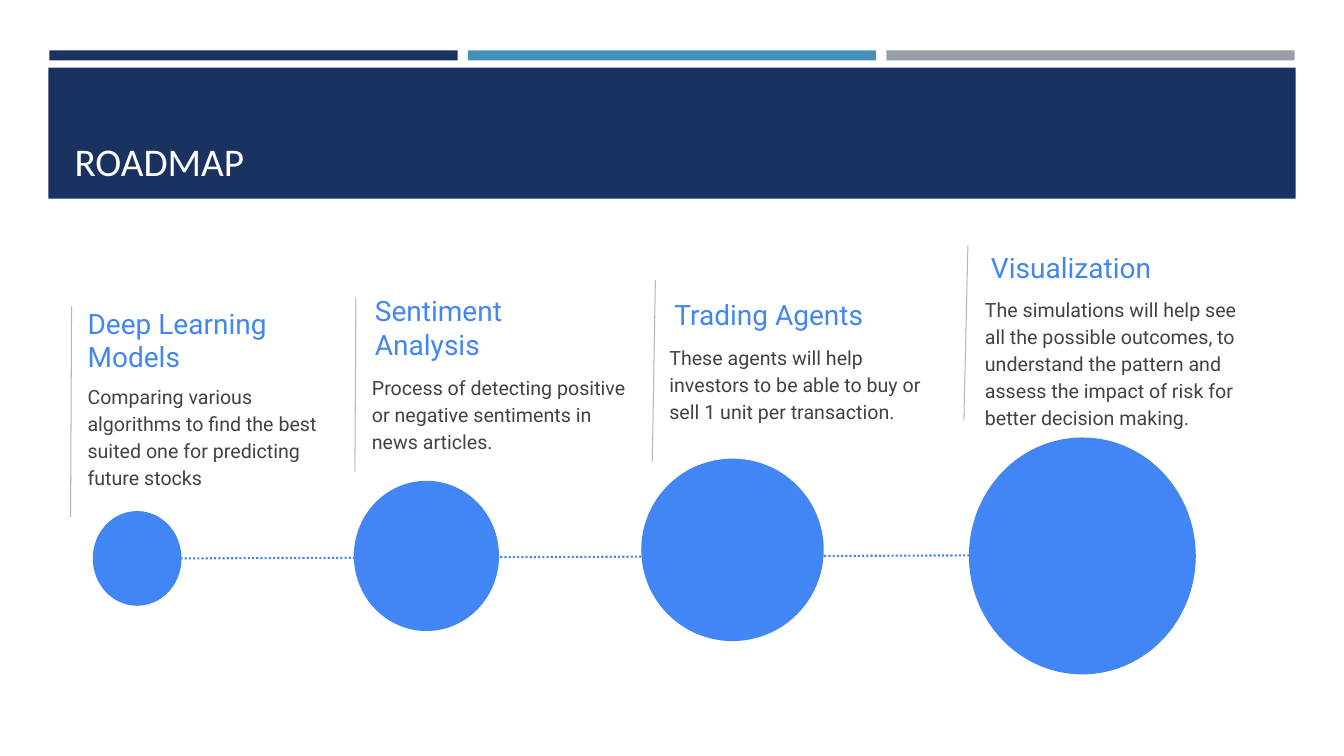
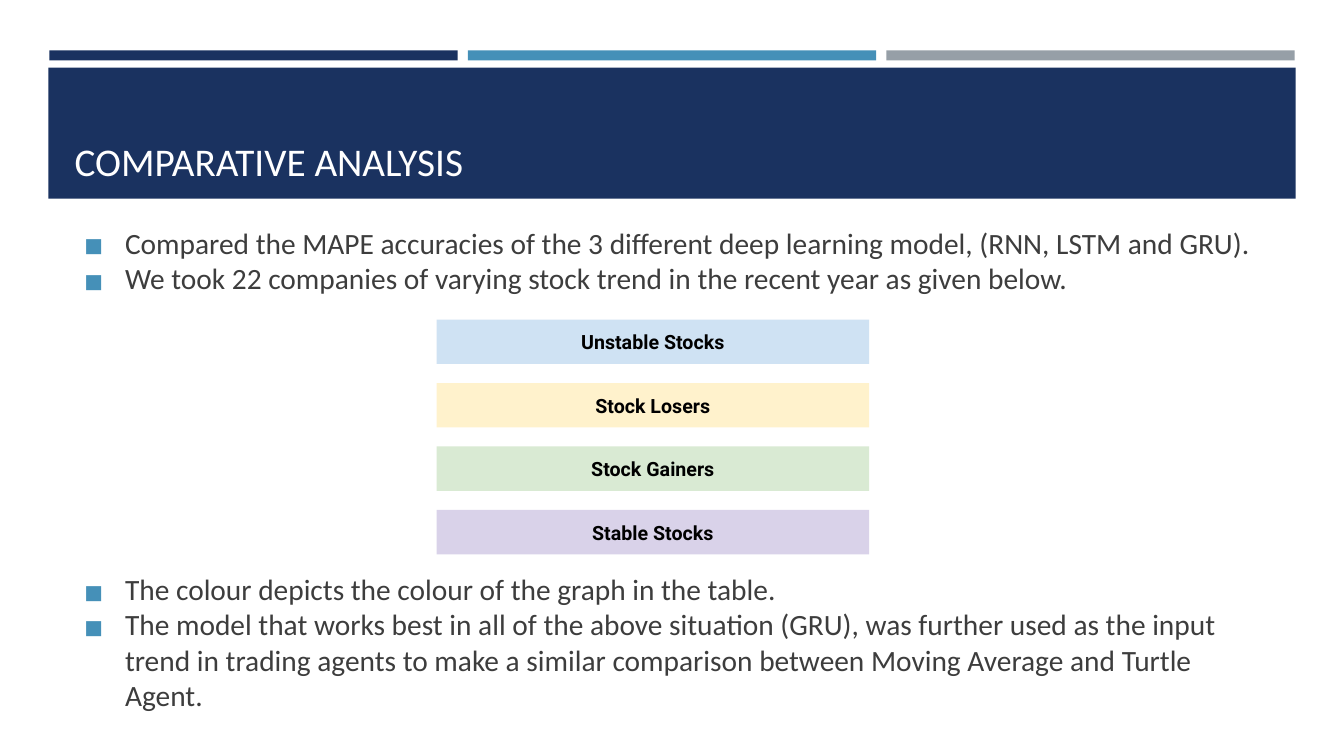
from lxml import etree
from pptx import Presentation
from pptx.dml.color import RGBColor
from pptx.enum.dml import MSO_LINE
from pptx.enum.shapes import MSO_CONNECTOR, MSO_SHAPE
from pptx.enum.text import MSO_ANCHOR, MSO_AUTO_SIZE, PP_ALIGN
from pptx.oxml.ns import qn
from pptx.util import Inches, Pt

NAVY = RGBColor(0x1A, 0x32, 0x60)
TEAL = RGBColor(0x45, 0x90, 0xB8)
GREY = RGBColor(0x96, 0x9F, 0xA7)
WHITE = RGBColor(0xFF, 0xFF, 0xFF)
BLACK = RGBColor(0x00, 0x00, 0x00)
BLUE = RGBColor(0x42, 0x85, 0xF4)
RULE_GREY = RGBColor(0xB7, 0xB7, 0xB7)
DETAIL_GREY = RGBColor(0x42, 0x42, 0x42)
BODY_GREY = RGBColor(0x3D, 0x3D, 0x3D)

TITLE_FONT = {"name": "Calibri", "size": Pt(28), "color": WHITE}
BULLET_FONT = {"name": "Calibri", "size": Pt(21), "color": BODY_GREY}
HEADING_FONT = {"name": "Roboto", "size": Pt(20), "color": BLUE}
DETAIL_FONT = {"name": "Roboto", "size": Pt(14), "color": DETAIL_GREY}
LABEL_FONT = {"name": "Roboto", "size": Pt(14), "color": BLACK, "bold": True}

TITLE_BOX = (0.64, 0.77, 12.06, 1.11)
BODY_BOX = (0.64, 2.18, 12.06, 4.83)
BANNER_BOX = (0.48, 0.67, 12.37, 1.3)
STRIPE_COLORS = (NAVY, TEAL, GREY)
STRIPE_LEFT, STRIPE_TOP, STRIPE_WIDTH, STRIPE_HEIGHT, STRIPE_PITCH = 0.49, 0.5, 4.05, 0.1, 4.15

MILESTONES = [
    {"heading": "Deep Learning Models", "heading_box": (0.77, 3.07, 2.61, 0.6),
     "detail": "Comparing various algorithms to find the best suited one for "
               "predicting future stocks",
     "detail_box": (0.77, 3.68, 2.54, 1.25),
     "rule": (0.71, 3.04, 0.7, 5.13), "circle": (0.92, 5.07, 0.88, 0.94)},
    {"heading": "Sentiment\nAnalysis", "heading_box": (3.62, 2.95, 2.61, 0.6),
     "detail": "Process of detecting positive or negative sentiments in news articles.",
     "detail_box": (3.59, 3.59, 2.79, 0.99),
     "rule": (3.53, 2.95, 3.52, 4.68), "circle": (3.51, 4.77, 1.44, 1.49)},
    {"heading": "Trading Agents", "heading_box": (6.59, 2.82, 2.61, 0.6),
     "detail": "These agents will help investors to be able to buy or sell 1 unit "
               "per transaction.",
     "detail_box": (6.54, 3.3, 2.92, 1.11),
     "rule": (6.5, 2.78, 6.47, 4.58), "circle": (6.36, 4.55, 1.81, 1.81)},
    {"heading": "Visualization", "heading_box": (9.73, 2.35, 3.11, 0.6),
     "detail": "The simulations will help see all the possible outcomes, to understand "
               "the pattern and assess the impact of risk for better decision making.",
     "detail_box": (9.67, 2.82, 2.92, 1.35),
     "rule": (9.6, 2.43, 9.56, 4.17), "circle": (9.61, 4.34, 2.25, 2.35)},
]
TIMELINE = (1.79, 5.54, 9.61, 5.51)

# Each bullet: text, space before in points
BULLETS = [
    ("Compared the MAPE accuracies of the 3 different deep learning model, "
     "(RNN, LSTM and GRU).", 0),
    ("We took 22 companies of varying stock trend in the recent year as given below.", 0),
    ("The colour depicts the colour of the graph in the table.", 197),
    ("The model that works best in all of the above situation (GRU), was further used "
     "as the input trend in trading agents to make a similar comparison between "
     "Moving Average and Turtle Agent.", 0),
]
STOCK_GROUPS = [
    ("Unstable Stocks", RGBColor(0xCF, 0xE2, 0xF3)),
    ("Stock Losers", RGBColor(0xFF, 0xF2, 0xCC)),
    ("Stock Gainers", RGBColor(0xD9, 0xEA, 0xD3)),
    ("Stable Stocks", RGBColor(0xD9, 0xD2, 0xE9)),
]
GROUP_LEFT, GROUP_TOP, GROUP_WIDTH, GROUP_HEIGHT, GROUP_PITCH = 4.33, 3.17, 4.29, 0.44, 0.63


def to_inches(values):
    return [Inches(value) for value in values]


def place(shape, box):
    shape.left, shape.top, shape.width, shape.height = to_inches(box)


def format_text(text_frame, font_values, align=PP_ALIGN.LEFT):
    for paragraph in text_frame.paragraphs:
        paragraph.alignment = align
        for run in paragraph.runs:
            for key, value in font_values.items():
                if key == "color":
                    run.font.color.rgb = value
                else:
                    setattr(run.font, key, value)


def set_frame(text_frame, anchor, inset_y=0.05):
    values = {"word_wrap": True, "auto_size": MSO_AUTO_SIZE.NONE, "vertical_anchor": anchor,
              "margin_left": Inches(0.1), "margin_right": Inches(0.1),
              "margin_top": Inches(inset_y), "margin_bottom": Inches(inset_y)}
    for key, value in values.items():
        setattr(text_frame, key, value)


def add_filled(slide, kind, box, color):
    shape = slide.shapes.add_shape(kind, *to_inches(box))
    shape.shadow.inherit = False
    shape.fill.solid()
    shape.fill.fore_color.rgb = color
    shape.line.fill.background()
    return shape


def add_line(slide, ends, color, width, dash=None):
    line = slide.shapes.add_connector(MSO_CONNECTOR.STRAIGHT, *to_inches(ends))
    line.line.color.rgb = color
    line.line.width = Pt(width)
    if dash:
        line.line.dash_style = dash
    etree.SubElement(line.element.spPr, qn("a:effectLst"))


def add_text(slide, box, text, font_values, anchor):
    text_frame = slide.shapes.add_textbox(*to_inches(box)).text_frame
    set_frame(text_frame, anchor, 0.1)
    text_frame.text = text
    format_text(text_frame, font_values)
    return text_frame


def add_bullet(paragraph):
    properties = paragraph._p.get_or_add_pPr()
    properties.set("marL", str(Inches(0.5)))
    properties.set("indent", str(-Inches(0.4)))
    color = etree.SubElement(properties, qn("a:buClr"))
    etree.SubElement(color, qn("a:srgbClr"), val=str(TEAL))
    etree.SubElement(properties, qn("a:buFont"), typeface="Noto Sans Symbols")
    etree.SubElement(properties, qn("a:buChar"), char="◼")


def add_master_bands(master, slide):
    """Draw the banner and stripes on a slide, then move them behind the master's placeholders."""
    bands = [(BANNER_BOX, NAVY)]
    for index, color in enumerate(STRIPE_COLORS):
        left = STRIPE_LEFT + index * STRIPE_PITCH
        bands.append(((left, STRIPE_TOP, STRIPE_WIDTH, STRIPE_HEIGHT), color))
    for index, (box, color) in enumerate(bands):
        element = add_filled(slide, MSO_SHAPE.RECTANGLE, box, color).element
        element.nvSpPr.cNvPr.id = 101 + index
        master.shapes.element.insert(2 + index, element)


def add_titled_slide(presentation, layout_name, title_text):
    slide = presentation.slides.add_slide(presentation.slide_layouts.get_by_name(layout_name))
    title = slide.shapes.title
    place(title, TITLE_BOX)
    title.text_frame.text = title_text
    set_frame(title.text_frame, MSO_ANCHOR.BOTTOM)
    format_text(title.text_frame, TITLE_FONT)
    return slide


def build_roadmap(presentation):
    slide = add_titled_slide(presentation, "Title Only", "ROADMAP")
    add_line(slide, TIMELINE, BLUE, 1.5, MSO_LINE.ROUND_DOT)
    for milestone in MILESTONES:
        add_filled(slide, MSO_SHAPE.OVAL, milestone["circle"], BLUE)
        add_line(slide, milestone["rule"], RULE_GREY, 0.75)
        add_text(slide, milestone["heading_box"], milestone["heading"],
                 HEADING_FONT, MSO_ANCHOR.MIDDLE)
        detail = add_text(slide, milestone["detail_box"], milestone["detail"],
                          DETAIL_FONT, MSO_ANCHOR.TOP)
        detail.paragraphs[0].line_spacing = 1.15
    return slide


def build_analysis(presentation):
    slide = add_titled_slide(presentation, "Title and Content", "COMPARATIVE ANALYSIS")
    body = slide.placeholders[1]
    place(body, BODY_BOX)
    text_frame = body.text_frame
    set_frame(text_frame, MSO_ANCHOR.TOP)
    text_frame.text = "\n".join(text for text, _ in BULLETS)
    for paragraph, (_, space_before) in zip(text_frame.paragraphs, BULLETS):
        paragraph.space_before = Pt(space_before)
        add_bullet(paragraph)
    format_text(text_frame, BULLET_FONT)

    for index, (name, color) in enumerate(STOCK_GROUPS):
        box = (GROUP_LEFT, GROUP_TOP + index * GROUP_PITCH, GROUP_WIDTH, GROUP_HEIGHT)
        label = add_filled(slide, MSO_SHAPE.RECTANGLE, box, color).text_frame
        set_frame(label, MSO_ANCHOR.MIDDLE, 0.1)
        label.text = name
        format_text(label, LABEL_FONT, PP_ALIGN.CENTER)


def main():
    presentation = Presentation()
    presentation.slide_width, presentation.slide_height = to_inches((13.33, 7.5))
    roadmap = build_roadmap(presentation)
    add_master_bands(presentation.slide_master, roadmap)
    build_analysis(presentation)
    presentation.save("out.pptx")


if __name__ == "__main__":
    main()
